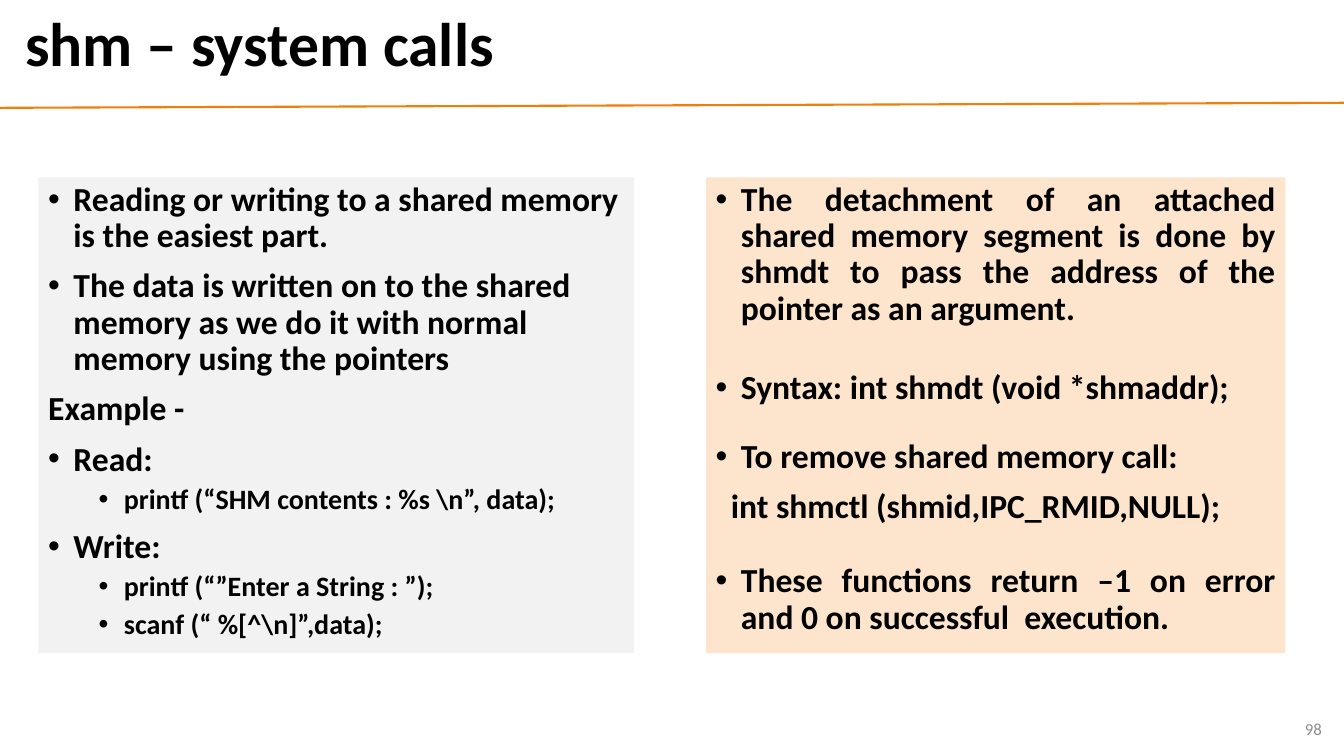
from dataclasses import dataclass

from lxml.etree import SubElement
from pptx import Presentation
from pptx.dml.color import RGBColor as Rgb
from pptx.enum.shapes import MSO_CONNECTOR as Link, MSO_SHAPE as Form
from pptx.enum.text import MSO_ANCHOR as Anchor, PP_ALIGN as Align
from pptx.oxml.ns import qn
from pptx.util import Inches, Pt


@dataclass(frozen=True)
class Theme:
    font: str = "Calibri"
    ink: str = "000000"
    muted: str = "8C8C8C"
    accent: str = "F07F09"
    gray: str = "F2F2F2"
    peach: str = "FDE5CD"
    title: int = 44
    body: int = 24
    code: int = 20
    small: int = 12


THEME = Theme()

LEFT = [
    ("Reading or writing to a shared memory is the easiest part.", {}),
    ("The data is written on to the shared memory as we do it with normal "
     "memory using the pointers", {}),
    ("Example -", {"bullet": False, "margin": 0, "hang": 0}),
    ("Read:", {}),
    (r"printf (“SHM contents : %s \n”, data);", {"level": 1}),
    ("Write:", {}),
    ("printf (“”Enter a String : ”);", {"level": 1}),
    (r"scanf (“ %[^\n]”,data);", {"level": 1}),
]

RIGHT = [
    ("The detachment of an attached shared memory segment is done by shmdt "
     "to pass the address of the pointer as an argument.", {}),
    ("Syntax: int shmdt (void *shmaddr);", {"before": 31}),
    ("To remove shared memory call:", {"before": 23}),
    ("int shmctl (shmid,IPC_RMID,NULL);", {"bullet": False, "hang": 0.1}),
    ("These functions return –1 on error and 0 on successful  execution.",
     {"before": 27}),
]


def write(para, text, size=THEME.body, color=THEME.ink, bold=True,
          align=Align.LEFT, spacing=0.9, before=0, level=0,
          margin=0, hang=0, bullet=False):
    para.level = level
    para.alignment = align
    para.line_spacing = spacing
    para.space_before = Pt(before)
    props = para._p.get_or_add_pPr()
    props.set("marL", str(Inches(margin)))
    props.set("indent", str(-Inches(hang)))
    if bullet:
        SubElement(props, qn("a:buFont")).set("typeface", "Arial")
        SubElement(props, qn("a:buChar")).set("char", "•")
    else:
        SubElement(props, qn("a:buNone"))
    run = para.add_run()
    run.text = text
    font = run.font
    font.name = THEME.font
    font.size = Pt(size)
    font.bold = bold
    font.color.rgb = Rgb.from_string(color)


def label(slide, box, text, **style):
    frame = slide.shapes.add_textbox(*map(Inches, box)).text_frame
    frame.word_wrap = True
    frame.vertical_anchor = Anchor.MIDDLE
    write(frame.paragraphs[0], text, **style)


def panel(slide, box, fill, items, align=Align.LEFT):
    shape = slide.shapes.add_shape(Form.RECTANGLE, *map(Inches, box))
    shape.shadow.inherit = False
    shape.fill.solid()
    shape.fill.fore_color.rgb = Rgb.from_string(fill)
    shape.line.fill.background()
    frame = shape.text_frame
    frame.word_wrap = True
    frame.vertical_anchor = Anchor.TOP
    for index, (text, extra) in enumerate(items):
        para = frame.add_paragraph() if index else frame.paragraphs[0]
        level = extra.get("level", 0)
        style = {
            "size": THEME.code if level else THEME.body,
            "before": (5 if level else 10) if index else 0,
            "margin": 0.25 + 0.5 * level,
            "hang": 0.25,
            "bullet": True,
            "align": align,
        }
        write(para, text, **(style | extra))


def rule(slide, start, end):
    line = slide.shapes.add_connector(
        Link.STRAIGHT, *map(Inches, (*start, *end)))
    line.line.color.rgb = Rgb.from_string(THEME.accent)
    line.line.width = Pt(1.5)
    SubElement(line._element.spPr, qn("a:effectLst"))


def main():
    deck = Presentation()
    deck.slide_width = Inches(13.33)
    deck.slide_height = Inches(7.5)
    slide = deck.slides.add_slide(deck.slide_layouts[6])
    rule(slide, (0, 1.07), (13.33, 1.02))
    label(slide, (0.15, 0.05, 12.89, 0.83), "shm – system calls",
          size=THEME.title)
    label(slide, (10.21, 7.03, 3, 0.4), "98", size=THEME.small,
          color=THEME.muted, bold=False, align=Align.RIGHT, spacing=1.0)
    panel(slide, (0.38, 1.76, 5.91, 4.72), THEME.gray, LEFT)
    panel(slide, (7, 1.76, 5.75, 4.72), THEME.peach, RIGHT, Align.JUSTIFY)
    deck.save("out.pptx")


if __name__ == "__main__":
    main()
